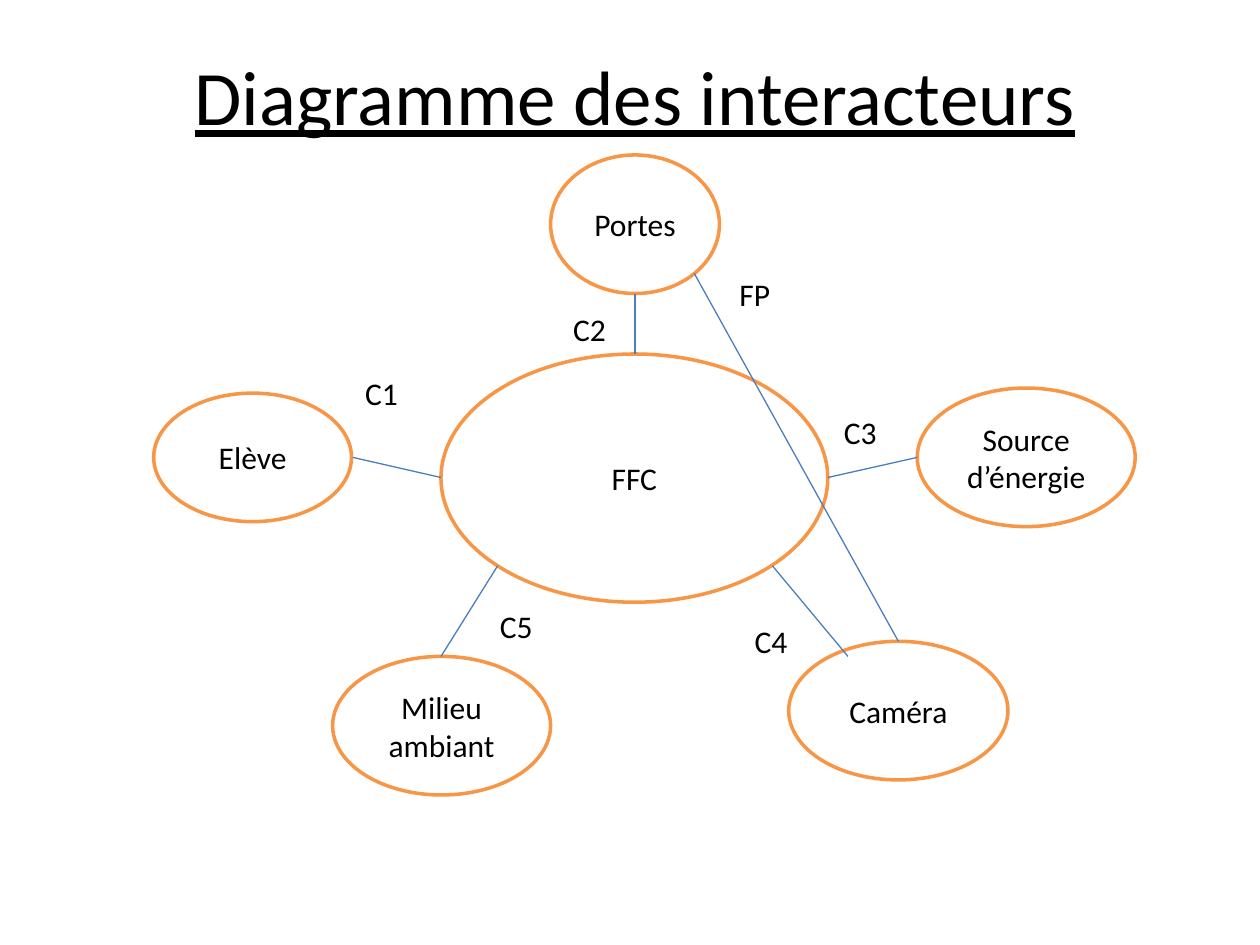
from typing import NamedTuple

from pptx import Presentation
from pptx.dml.color import RGBColor
from pptx.enum import shapes, text
from pptx.oxml.ns import qn
from pptx.util import Inches, Pt
from lxml import etree


class Box(NamedTuple):
    label: str
    left: float
    top: float
    width: float
    height: float


class Link(NamedTuple):
    x1: float
    y1: float
    x2: float
    y2: float


TITLE = Box("Diagramme des interacteurs", 0.54, 0.13, 9, 1.25)
ACTORS = [
    Box("FFC", 3.5, 2.81, 3.07, 1.97),
    Box("Elève", 1.22, 3.12, 1.57, 1.02),
    Box("Portes", 4.37, 1.23, 1.34, 1.1),
    Box("Source d’énergie", 7.28, 3.08, 1.73, 1.1),
    Box("Caméra", 6.26, 5.09, 1.74, 1.1),
    Box("Milieu ambiant", 2.64, 5.21, 1.73, 1.1),
]
LINKS = [
    Link(5.04, 2.33, 5.04, 2.81),
    Link(6.57, 3.79, 7.28, 3.63),
    Link(6.13, 4.49, 6.73, 5.21),
    Link(3.95, 4.49, 3.5, 5.21),
    Link(2.8, 3.63, 3.5, 3.79),
    Link(5.51, 2.17, 7.13, 5.09),
]
LABELS = [
    Box("C2", 4.45, 2.41, 0.46, 0.4),
    Box("C3", 6.6, 3.23, 0.46, 0.4),
    Box("C4", 5.89, 4.89, 0.46, 0.4),
    Box("C5", 3.87, 4.77, 0.46, 0.4),
    Box("C1", 2.8, 2.92, 0.46, 0.4),
    Box("FP", 5.77, 2.13, 0.45, 0.4),
]
BODY = {"name": "Calibri", "size": Pt(18)}
HEADING = {"name": "Calibri", "size": Pt(44), "underline": True}
CENTERED = {"word_wrap": True, "vertical_anchor": text.MSO_ANCHOR.MIDDLE}
FLOATING = {"word_wrap": False, "auto_size": text.MSO_AUTO_SIZE.SHAPE_TO_FIT_TEXT}


def rgb(value: str) -> RGBColor:
    return RGBColor.from_string(value)


def apply(target, values: dict) -> None:
    for name, value in values.items():
        setattr(target, name, value)


def bounds(box: Box) -> list:
    return [Inches(v) for v in box[1:]]


def write(s, label: str, font: dict, frame: dict, align) -> None:
    tf = s.text_frame
    apply(tf, frame)
    p = tf.paragraphs[0]
    p.alignment = align
    r = p.add_run()
    r.text = label
    apply(r.font, font)
    r.font.color.rgb = rgb("000000")


def add_title(sp, box: Box) -> None:
    s = sp.title
    apply(s, dict(zip(("left", "top", "width", "height"), bounds(box))))
    write(s, box.label, HEADING, CENTERED, text.PP_ALIGN.CENTER)


def add_actor(sp, box: Box) -> None:
    s = sp.add_shape(shapes.MSO_SHAPE.OVAL, *bounds(box))
    s.shadow.inherit = False
    s.fill.solid()
    s.fill.fore_color.rgb = rgb("FFFFFF")
    s.line.color.rgb = rgb("F79646")
    s.line.width = Pt(2)
    write(s, box.label, BODY, CENTERED, text.PP_ALIGN.CENTER)


def add_link(sp, link: Link) -> None:
    s = sp.add_connector(shapes.MSO_CONNECTOR.STRAIGHT, *[Inches(v) for v in link])
    s.line.color.rgb = rgb("4B7EBC")
    s.line.width = Pt(0.75)
    etree.SubElement(s._element.spPr, qn("a:effectLst"))


def add_label(sp, box: Box) -> None:
    s = sp.add_textbox(*bounds(box))
    write(s, box.label, BODY, FLOATING, text.PP_ALIGN.LEFT)


prs = Presentation()
apply(prs, {"slide_width": Inches(10), "slide_height": Inches(7.5)})
sp = prs.slides.add_slide(prs.slide_layouts[5]).shapes
add_title(sp, TITLE)
for draw, items in ((add_actor, ACTORS), (add_link, LINKS), (add_label, LABELS)):
    for item in items:
        draw(sp, item)
prs.save("out.pptx")
